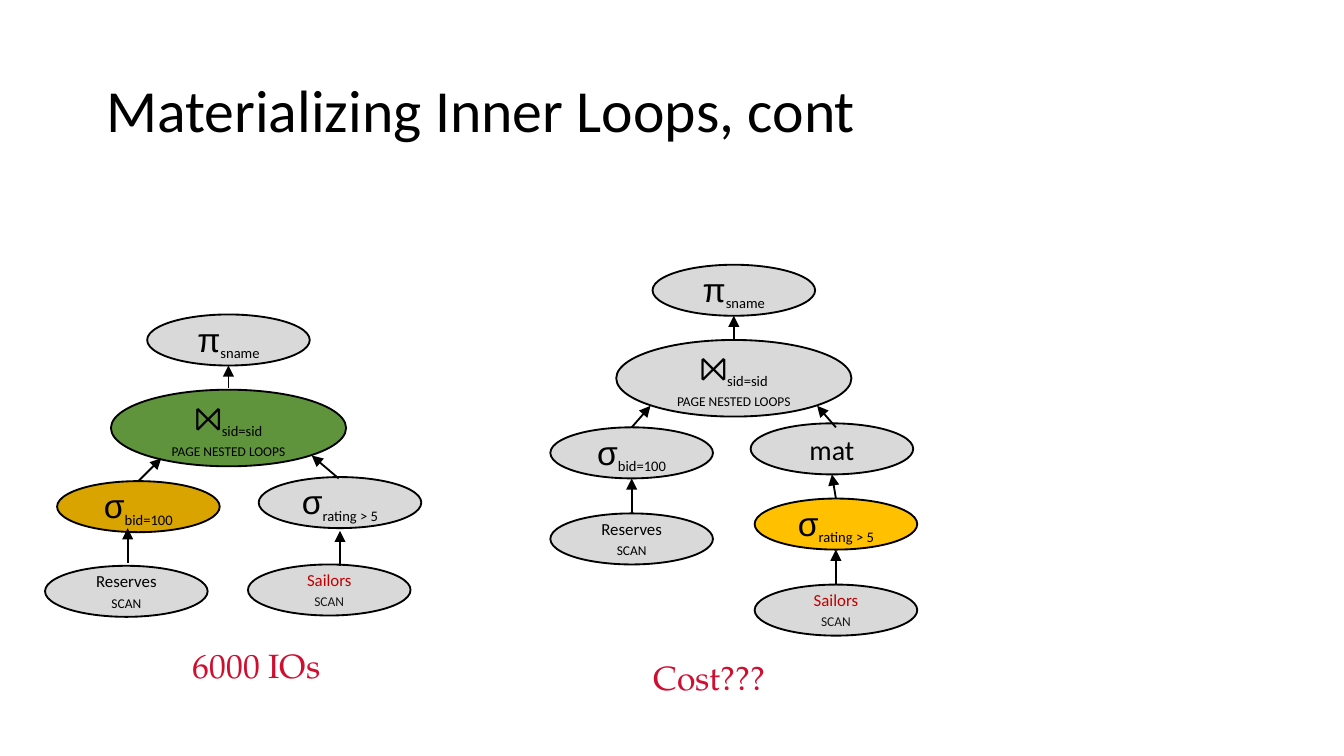
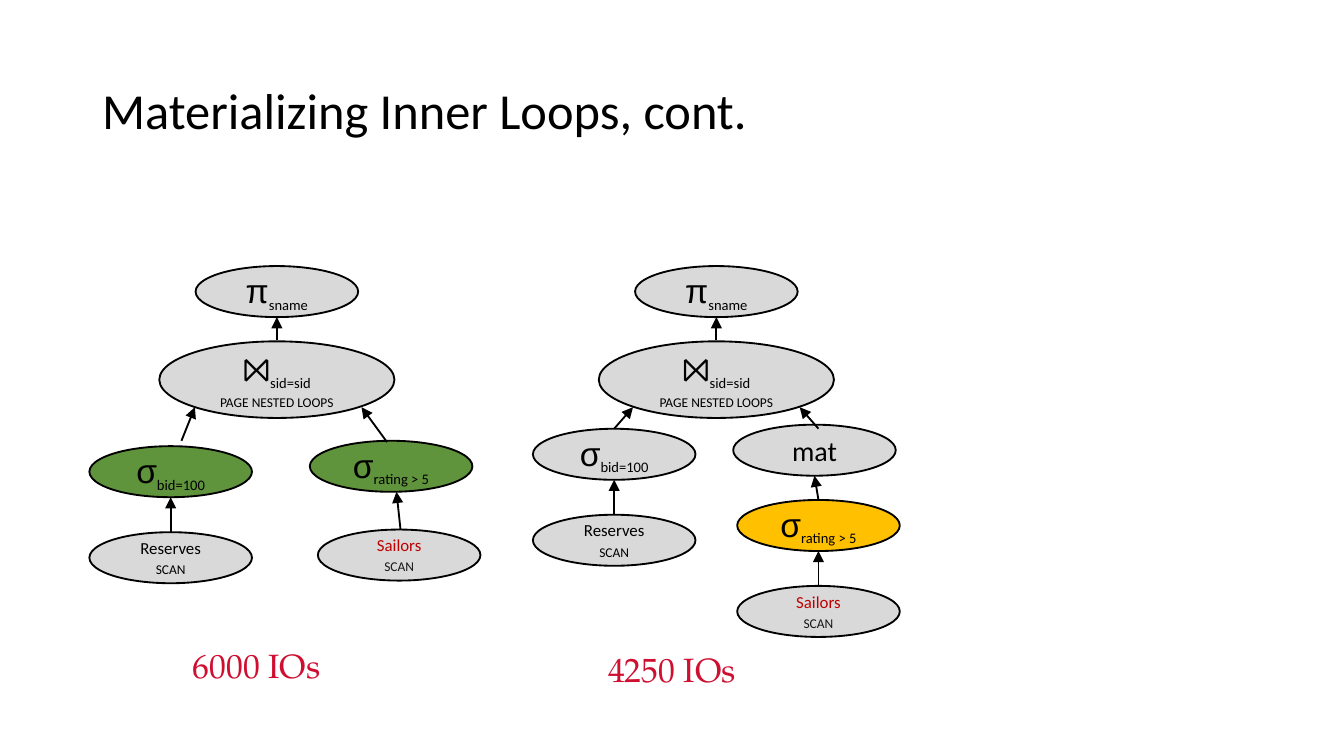
from dataclasses import dataclass

from lxml import etree
from pptx import Presentation
from pptx import util as u
from pptx.dml.color import RGBColor
from pptx.enum import shapes, text
from pptx.oxml.ns import qn


@dataclass(frozen=True)
class Theme:
    black: str = "000000"
    grey: str = "D9D9D9"
    green: str = "5F933C"
    ochre: str = "D9A300"
    amber: str = "FFC000"
    table_red: str = "C00000"
    scan_dark: str = "181717"
    cost_red: str = "CF0E30"
    body_font: str = "Calibri"
    symbol_font: str = "Arial"
    cost_font: str = "TeX Gyre Pagella"
    symbol_size: float = 18
    subscript_size: float = 13.5
    mat_size: float = 15
    small_size: float = 9
    cost_size: float = 18
    line_width: float = 1


THEME = Theme()
PAGE_WIDTH = 10
PAGE_HEIGHT = PAGE_WIDTH * 9 / 16
TITLE_BOX = (0.69, 0.3, 8.62, 1.09)
NODE_SIZE = (1.21, 0.38)
JOIN_SIZE = (1.75, 0.57)
COST_SIZE = (1.56, 0.38)
NODE_INSETS = (0.07, 0.04)
JOIN_TOP = 0.56

# Operators: leading symbol and its subscript
OPERATORS = {
    "project": ("π", "sname"),
    "join": ("⨝", "sid=sid"),
    "bid": ("σ", "bid=100"),
    "rating": ("σ", "rating > 5"),
}
# Scanned tables: name colour and colour of the scan label
SCANS = {
    "Reserves": (THEME.black, THEME.black),
    "Sailors": (THEME.table_red, THEME.scan_dark),
}


@dataclass(frozen=True)
class Branches:
    """Nodes (centre x, top) and arrows (from, to), measured from the tree's top centre."""
    nodes: dict
    arrows: tuple


FILTERED_LEFT = Branches(
    {"bid": (-0.67, 1.24), "rating": (0.83, 1.21),
     "Sailors": (0.75, 1.86), "Reserves": (-0.76, 1.87)},
    ((0.82, 1.22, 0.62, 1.05), (-0.67, 1.24, -0.5, 1.07),
     (0.83, 1.87, 0.83, 1.61), (-0.75, 1.85, -0.75, 1.59)),
)
FILTERED_BOTH = Branches(
    {"bid": (-0.79, 1.34), "rating": (0.85, 1.3),
     "Sailors": (0.91, 1.96), "Reserves": (-0.79, 1.98)},
    ((0.82, 1.31, 0.63, 1.05), (-0.79, 1.98, -0.79, 1.72),
     (0.92, 1.96, 0.89, 1.68), (-0.71, 1.3, -0.61, 1.05)),
)
MATERIALIZED = Branches(
    {"mat": (0.73, 1.18), "rating": (0.76, 1.74), "Reserves": (-0.76, 1.85),
     "bid": (-0.76, 1.21), "Sailors": (0.76, 2.38)},
    ((0.76, 1.74, 0.73, 1.56), (-0.76, 1.85, -0.76, 1.59),
     (0.76, 2.38, 0.76, 2.12), (0.76, 1.21, 0.62, 1.05),
     (-0.76, 1.21, -0.62, 1.05)),
)


def inches(*lengths):
    return [u.Inches(length) for length in lengths]


def set_font(font, size, name=THEME.body_font, color=THEME.black):
    font.size = u.Pt(size)
    font.name = name
    font.color.rgb = RGBColor.from_string(color)


def set_insets(frame, across, down):
    frame.margin_left = frame.margin_right = u.Inches(across)
    frame.margin_top = frame.margin_bottom = u.Inches(down)


def add_span(para, words, **attributes):
    """Add a run; attributes such as baseline or cap go on its properties."""
    span = para.add_run()
    span.text = words
    for key, value in attributes.items():
        span.font._element.set(key, value)
    return span


def write_operator(frame, kind):
    symbol, subscript = OPERATORS[kind]
    para = frame.paragraphs[0]
    para.alignment = text.PP_ALIGN.CENTER
    set_font(add_span(para, symbol).font, THEME.symbol_size, THEME.symbol_font)
    set_font(add_span(para, subscript, baseline="-25000").font, THEME.subscript_size)
    if kind == "join":
        para.add_line_break()
        set_font(add_span(para, "page nested loops", cap="small").font, THEME.small_size)


def write_scan(frame, table):
    name_color, scan_color = SCANS[table]
    name, scan = frame.paragraphs[0], frame.add_paragraph()
    add_span(name, table)
    add_span(scan, "scan", cap="small")
    for para, color in ((name, name_color), (scan, scan_color)):
        para.alignment = text.PP_ALIGN.CENTER
        set_font(para.font, THEME.small_size, color=color)


def write_mat(frame):
    para = frame.paragraphs[0]
    para.alignment = text.PP_ALIGN.CENTER
    add_span(para, "mat")
    set_font(para.font, THEME.mat_size)


def add_node(canvas, kind, center, top, fill):
    width, height = JOIN_SIZE if kind == "join" else NODE_SIZE
    node = canvas.add_shape(shapes.MSO_SHAPE.OVAL,
                            *inches(center - width / 2, top, width, height))
    node.shadow.inherit = False
    node.fill.solid()
    node.fill.fore_color.rgb = RGBColor.from_string(fill)
    node.line.color.rgb = RGBColor.from_string(THEME.black)
    node.line.width = u.Pt(THEME.line_width)
    frame = node.text_frame
    frame.word_wrap = True
    frame.vertical_anchor = text.MSO_ANCHOR.MIDDLE
    set_insets(frame, *NODE_INSETS)
    if kind in OPERATORS:
        write_operator(frame, kind)
    elif kind in SCANS:
        write_scan(frame, kind)
    else:
        write_mat(frame)


def add_arrow(canvas, *ends):
    arrow = canvas.add_connector(shapes.MSO_CONNECTOR.STRAIGHT, *inches(*ends))
    arrow.line.color.rgb = RGBColor.from_string(THEME.black)
    arrow.line.width = u.Pt(THEME.line_width)
    etree.SubElement(arrow.line._get_or_add_ln(), qn("a:tailEnd"), type="triangle")
    etree.SubElement(arrow._element.spPr, qn("a:effectLst"))


def add_plan_tree(canvas, axis, top, branches, fills):
    """Draw a query plan whose root is centred on axis; fills holds the highlights."""
    nodes = {"project": (0, 0), "join": (0, JOIN_TOP), **branches.nodes}
    for kind, (x, y) in nodes.items():
        add_node(canvas, kind, axis + x, top + y, fills.get(kind, THEME.grey))
    stem = (0, JOIN_TOP - 0.01, 0, NODE_SIZE[1])
    for x1, y1, x2, y2 in (stem, *branches.arrows):
        add_arrow(canvas, axis + x1, top + y1, axis + x2, top + y2)


def add_cost(page, words, left, top):
    box = page.shapes.add_textbox(*inches(left, top, *COST_SIZE))
    frame = box.text_frame
    frame.word_wrap = False
    frame.vertical_anchor = text.MSO_ANCHOR.MIDDLE
    para = frame.paragraphs[0]
    para.alignment = text.PP_ALIGN.CENTER
    add_span(para, words)
    set_font(para.font, THEME.cost_size, THEME.cost_font, THEME.cost_red)


def add_page(deck, words, size, insets):
    page = deck.slides.add_slide(deck.slide_layouts[5])
    title = page.shapes.title
    title.left, title.top, title.width, title.height = inches(*TITLE_BOX)
    frame = title.text_frame
    frame.vertical_anchor = text.MSO_ANCHOR.MIDDLE
    set_insets(frame, *insets)
    para = frame.paragraphs[0]
    para.alignment = text.PP_ALIGN.LEFT
    para.line_spacing = 0.9
    add_span(para, words)
    set_font(para.font, size)
    return page


def build_question_page(deck):
    page = add_page(deck, "Materializing Inner Loops, cont", 32, (0.1, 0.05))
    add_plan_tree(page.shapes, 1.7, 2.34, FILTERED_LEFT,
                  {"bid": THEME.ochre, "join": THEME.green})
    add_plan_tree(page.shapes, 5.46, 1.97, MATERIALIZED, {"rating": THEME.amber})
    add_cost(page, "6000 IOs", 1.13, 4.76)
    add_cost(page, "Cost???", 4.5, 4.85)


def build_answer_page(deck):
    page = add_page(deck, "Materializing Inner Loops, cont.", 27, NODE_INSETS)
    group = page.shapes.add_group_shape()
    add_plan_tree(group.shapes, 2.06, 1.98, FILTERED_BOTH,
                  {"bid": THEME.green, "rating": THEME.green})
    add_plan_tree(page.shapes, 5.33, 1.98, MATERIALIZED, {"rating": THEME.amber})
    add_cost(page, "6000 IOs", 1.13, 4.76)
    add_cost(page, "4250 IOs", 4.22, 4.79)


def main():
    deck = Presentation()
    deck.slide_width, deck.slide_height = inches(PAGE_WIDTH, PAGE_HEIGHT)
    build_question_page(deck)
    build_answer_page(deck)
    deck.save("out.pptx")


if __name__ == "__main__":
    main()
